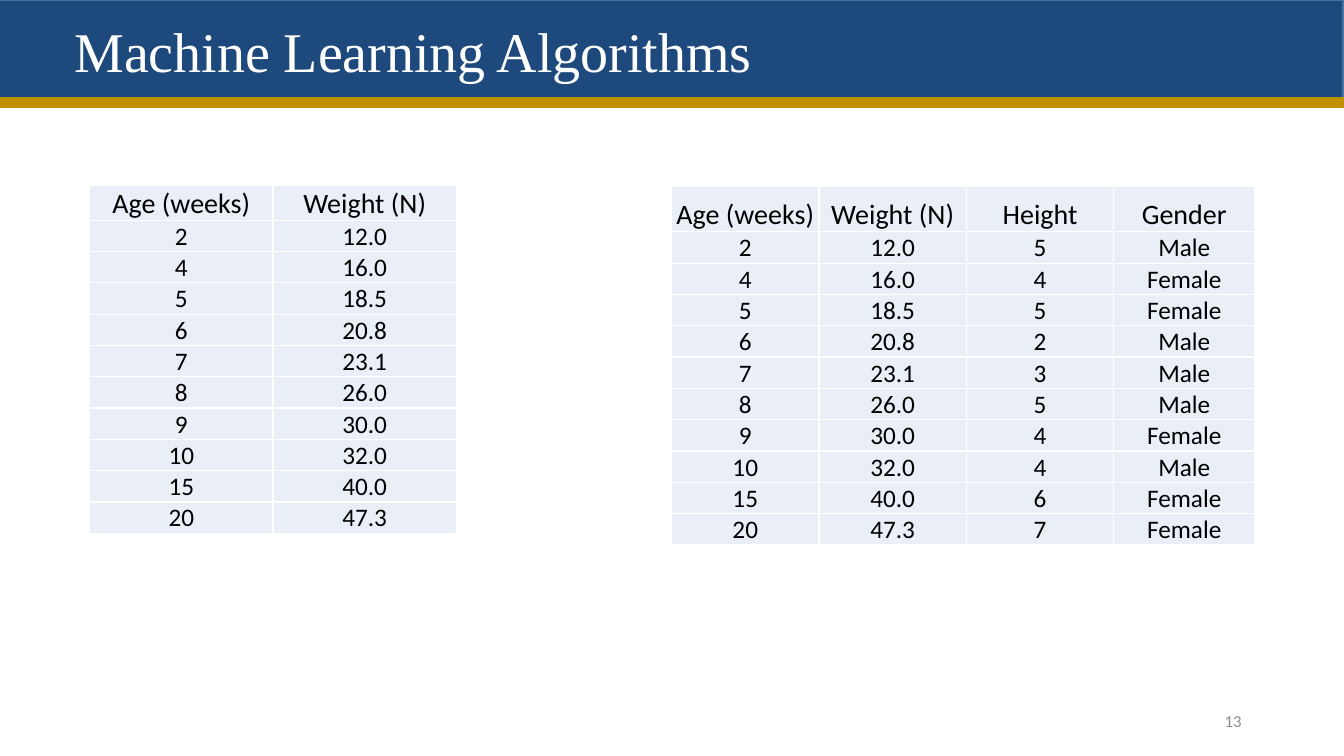
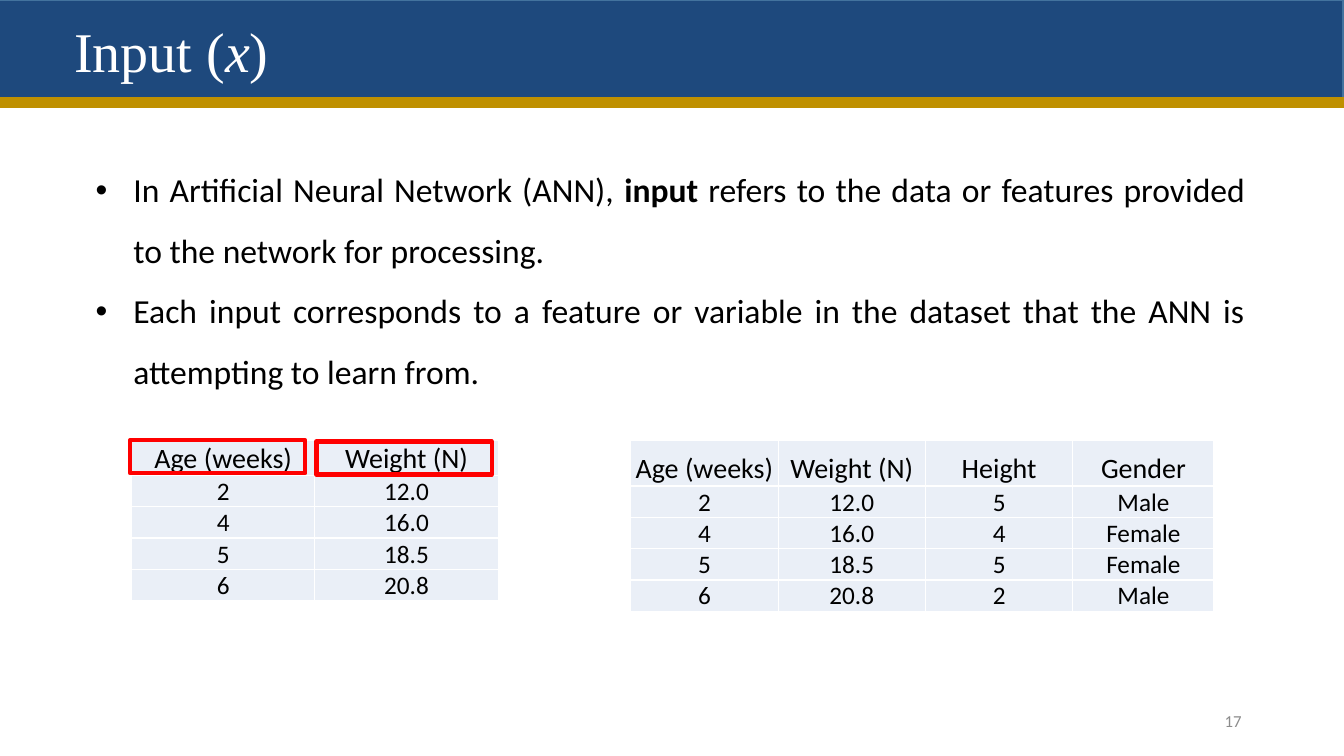
"""Build two slides on machine learning data and neural network inputs."""
from dataclasses import dataclass, field

from lxml import etree
from pptx import Presentation
from pptx.dml.color import RGBColor
from pptx.enum.shapes import MSO_SHAPE
from pptx.enum.text import MSO_ANCHOR, MSO_AUTO_SIZE, PP_ALIGN
from pptx.oxml.ns import qn
from pptx.slide import Slide
from pptx.util import Pt

RECTANGLE = MSO_SHAPE.RECTANGLE
TOP, MIDDLE, BOTTOM = MSO_ANCHOR.TOP, MSO_ANCHOR.MIDDLE, MSO_ANCHOR.BOTTOM
LEFT, CENTER, RIGHT, JUSTIFY = PP_ALIGN.LEFT, PP_ALIGN.CENTER, PP_ALIGN.RIGHT, PP_ALIGN.JUSTIFY
FIT_SHAPE, NO_FIT = MSO_AUTO_SIZE.SHAPE_TO_FIT_TEXT, MSO_AUTO_SIZE.NONE

WHITE = RGBColor(0xFF, 0xFF, 0xFF)
BLACK = RGBColor(0x00, 0x00, 0x00)
NAVY = RGBColor(0x1E, 0x49, 0x7D)
NAVY_EDGE = RGBColor(0x43, 0x73, 0x9E)
GOLD = RGBColor(0xBF, 0x90, 0x00)
PALE_BLUE = RGBColor(0xEA, 0xEF, 0xF7)
GRAY = RGBColor(0x8C, 0x8C, 0x8C)
RED = RGBColor(0xFF, 0x00, 0x00)

BODY_FONT = "Calibri"
TITLE_FONT = "Times New Roman"
BULLET_INDENT = 27
CELL_MARGINS = {"margin_left": Pt(0.75), "margin_right": Pt(0.75),
                "margin_top": Pt(0.75), "margin_bottom": Pt(0)}

HEADERS = ("Age (weeks)", "Weight (N)", "Height", "Gender")
ANIMALS = (
    ("2", "12.0", "5", "Male"),
    ("4", "16.0", "4", "Female"),
    ("5", "18.5", "5", "Female"),
    ("6", "20.8", "2", "Male"),
    ("7", "23.1", "3", "Male"),
    ("8", "26.0", "5", "Male"),
    ("9", "30.0", "4", "Female"),
    ("10", "32.0", "4", "Male"),
    ("15", "40.0", "6", "Female"),
    ("20", "47.3", "7", "Female"),
)


@dataclass(frozen=True)
class Box:
    """A frame in points."""
    left: float
    top: float
    width: float
    height: float

    def lengths(self) -> tuple[Pt, ...]:
        """Return the frame as lengths for python-pptx."""
        return tuple(Pt(v) for v in (self.left, self.top, self.width, self.height))


@dataclass(frozen=True)
class Run:
    """A piece of text with its font values."""
    text: str
    formats: dict[str, bool] = field(default_factory=dict)


@dataclass(frozen=True)
class TextStyle:
    """Font and paragraph values of a text."""
    size: float
    color: RGBColor = BLACK
    font: str = BODY_FONT
    align: PP_ALIGN = LEFT
    anchor: MSO_ANCHOR = TOP
    fit: MSO_AUTO_SIZE = FIT_SHAPE
    line_spacing: float | None = None


@dataclass(frozen=True)
class TableLayout:
    """Column widths and row heights of a table in points."""
    columns: tuple[float, ...]
    header_height: float
    row_height: float


TITLE_STYLE = TextStyle(40, WHITE, TITLE_FONT)
BULLET_STYLE = TextStyle(24, align=JUSTIFY, line_spacing=1.5)
NUMBER_STYLE = TextStyle(12, GRAY, align=RIGHT, anchor=MIDDLE, fit=NO_FIT)
HEADER_STYLE = TextStyle(20, align=CENTER)
VALUE_STYLE = TextStyle(18, align=CENTER)

SMALL_TABLE = TableLayout((131, 131), 23.3, 20.7)
WIDE_TABLE = TableLayout((105.3, 105.3, 105.3, 100.8), 32.4, 20.2)


def write_paragraph(p, runs: list[Run], style: TextStyle) -> None:
    """Fill a paragraph with styled runs."""
    p.alignment = style.align
    p.line_spacing = style.line_spacing
    for part in runs:
        r = p.add_run()
        r.text = part.text
        formats = {"name": style.font, "size": Pt(style.size), "bold": False, "italic": False}
        for name, value in (formats | part.formats).items():
            setattr(r.font, name, value)
        r.font.color.rgb = style.color


def add_bullet(p) -> None:
    """Give a paragraph a hanging round bullet."""
    pPr = p._p.get_or_add_pPr()
    pPr.set("marL", str(Pt(BULLET_INDENT)))
    pPr.set("indent", str(-Pt(BULLET_INDENT)))
    etree.SubElement(pPr, qn("a:buFont"), typeface="Arial")
    etree.SubElement(pPr, qn("a:buChar"), char="•")


def add_text(s: Slide, box: Box, paragraphs: list[list[Run]], style: TextStyle,
             bullets: bool = False) -> None:
    """Add a wrapped text box."""
    tf = s.shapes.add_textbox(*box.lengths()).text_frame
    formats = {"word_wrap": True, "auto_size": style.fit, "vertical_anchor": style.anchor}
    for name, value in formats.items():
        setattr(tf, name, value)
    for i, runs in enumerate(paragraphs):
        p = tf.add_paragraph() if i else tf.paragraphs[0]
        write_paragraph(p, runs, style)
        if bullets:
            add_bullet(p)


def add_rectangle(s: Slide, box: Box, line: RGBColor, line_width: float,
                  fill: RGBColor | None = None) -> None:
    """Add a rectangle, hollow when no fill is given."""
    sp = s.shapes.add_shape(RECTANGLE, *box.lengths())
    sp.shadow.inherit = False
    if fill is None:
        sp.fill.background()
    else:
        sp.fill.solid()
        sp.fill.fore_color.rgb = fill
    sp.line.color.rgb = line
    sp.line.width = Pt(line_width)


def format_cell(cell) -> None:
    """Set margins, white borders and fill of a table cell."""
    for name, value in CELL_MARGINS.items():
        setattr(cell, name, value)
    cell.vertical_anchor = BOTTOM
    tcPr = cell._tc.get_or_add_tcPr()
    for side in ("lnL", "lnR", "lnT", "lnB"):
        ln = etree.SubElement(tcPr, qn(f"a:{side}"), w=str(Pt(1)))
        fill = etree.SubElement(ln, qn("a:solidFill"))
        etree.SubElement(fill, qn("a:srgbClr"), val=str(WHITE))
    cell.fill.solid()
    cell.fill.fore_color.rgb = PALE_BLUE


def add_data_table(s: Slide, left: float, top: float, layout: TableLayout, count: int) -> None:
    """Add a table of the first animals, with as many fields as the layout has columns."""
    rows = (HEADERS, *ANIMALS[:count])
    columns = layout.columns
    box = Box(left, top, sum(columns), layout.header_height + count * layout.row_height)
    table = s.shapes.add_table(len(rows), len(columns), *box.lengths()).table
    table.first_row = table.horz_banding = False
    for column, width in zip(table.columns, columns):
        column.width = Pt(width)
    for i, values in enumerate(rows):
        table.rows[i].height = Pt(layout.row_height if i else layout.header_height)
        style = VALUE_STYLE if i else HEADER_STYLE
        for cell, value in zip(table.rows[i].cells, values):
            format_cell(cell)
            write_paragraph(cell.text_frame.paragraphs[0], [Run(value)], style)


def add_base_slide(prs: Presentation, title: list[Run], number: int) -> Slide:
    """Add a blank slide with bands, title and page number."""
    s = prs.slides.add_slide(prs.slide_layouts[6])
    add_rectangle(s, Box(-0.7, 0, 960, 77), NAVY_EDGE, 1, NAVY)
    add_rectangle(s, Box(0, 69.8, 960, 7), GOLD, 1, GOLD)
    add_text(s, Box(46, 8.6, 741, 55.7), [title], TITLE_STYLE)
    add_text(s, Box(678, 500.5, 216, 28.8), [[Run(str(number))]], NUMBER_STYLE)
    return s


def build_algorithms(prs: Presentation) -> None:
    """Build the slide that shows both full tables."""
    s = add_base_slide(prs, [Run("Machine Learning Algorithms")], 13)
    add_data_table(s, 64, 132.5, SMALL_TABLE, len(ANIMALS))
    add_data_table(s, 479.7, 133.2, WIDE_TABLE, len(ANIMALS))


def build_input(prs: Presentation) -> None:
    """Build the slide that explains inputs and marks two features."""
    s = add_base_slide(prs, [Run("Input ("), Run("x", {"italic": True}), Run(")")], 17)
    bullets = [
        [Run("In Artificial Neural Network (ANN), "), Run("input", {"bold": True}),
         Run(" refers to the data or features provided to the network for processing.")],
        [Run("Each input corresponds to a feature or variable in the dataset that the ANN is "
             "attempting to learn from.")],
    ]
    add_text(s, Box(61.2, 103, 835.2, 177), bullets, BULLET_STYLE, bullets=True)
    add_data_table(s, 93.9, 314.8, SMALL_TABLE, 4)
    add_data_table(s, 450.5, 314.8, WIDE_TABLE, 4)
    for left, top in ((92.9, 314.4), (226, 315.4)):
        add_rectangle(s, Box(left, top, 125.2, 23.6), RED, 3)


def main() -> None:
    """Create and save the presentation."""
    prs = Presentation()
    prs.slide_width, prs.slide_height = Pt(960), Pt(540)
    build_algorithms(prs)
    build_input(prs)
    prs.save("out.pptx")


if __name__ == "__main__":
    main()
